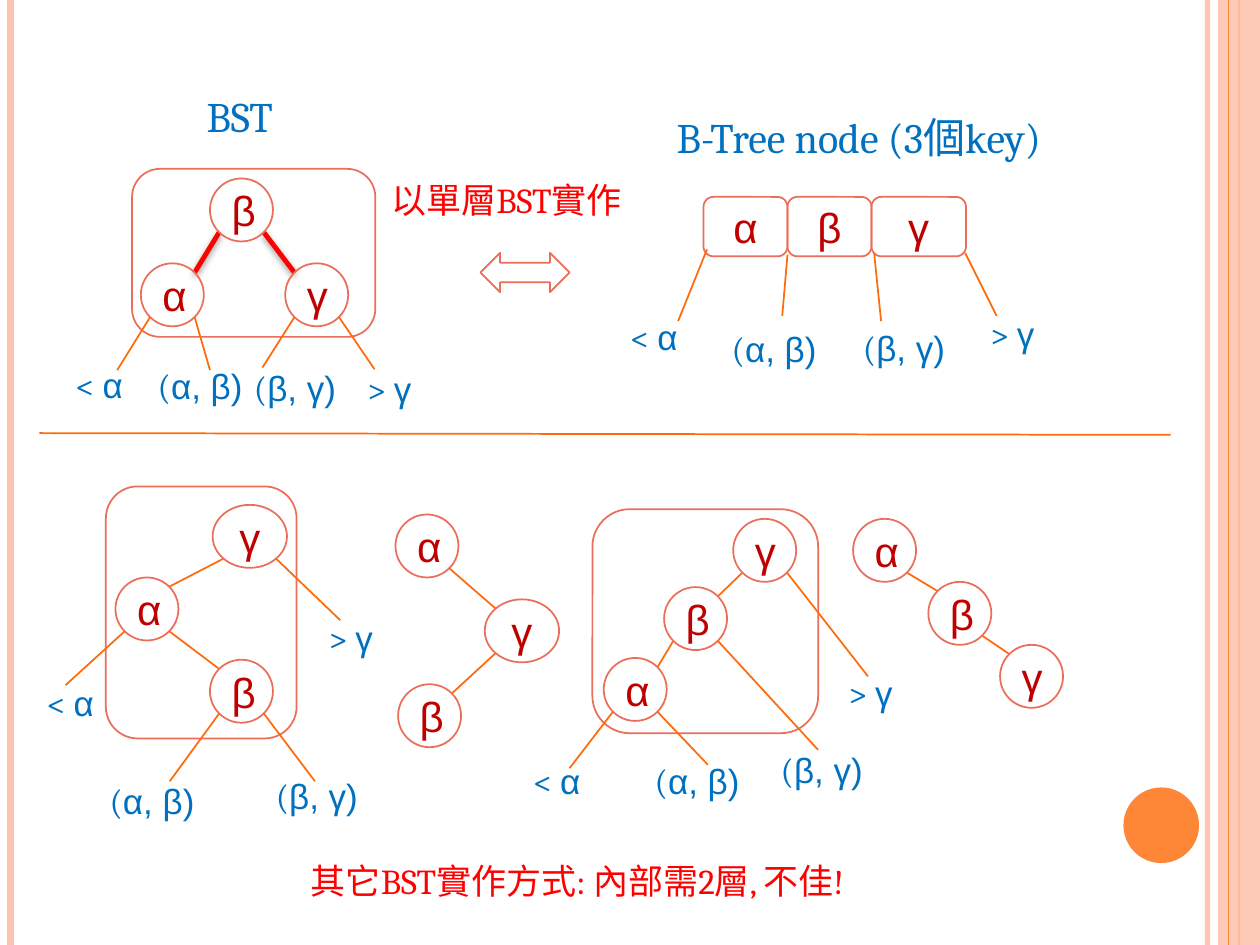
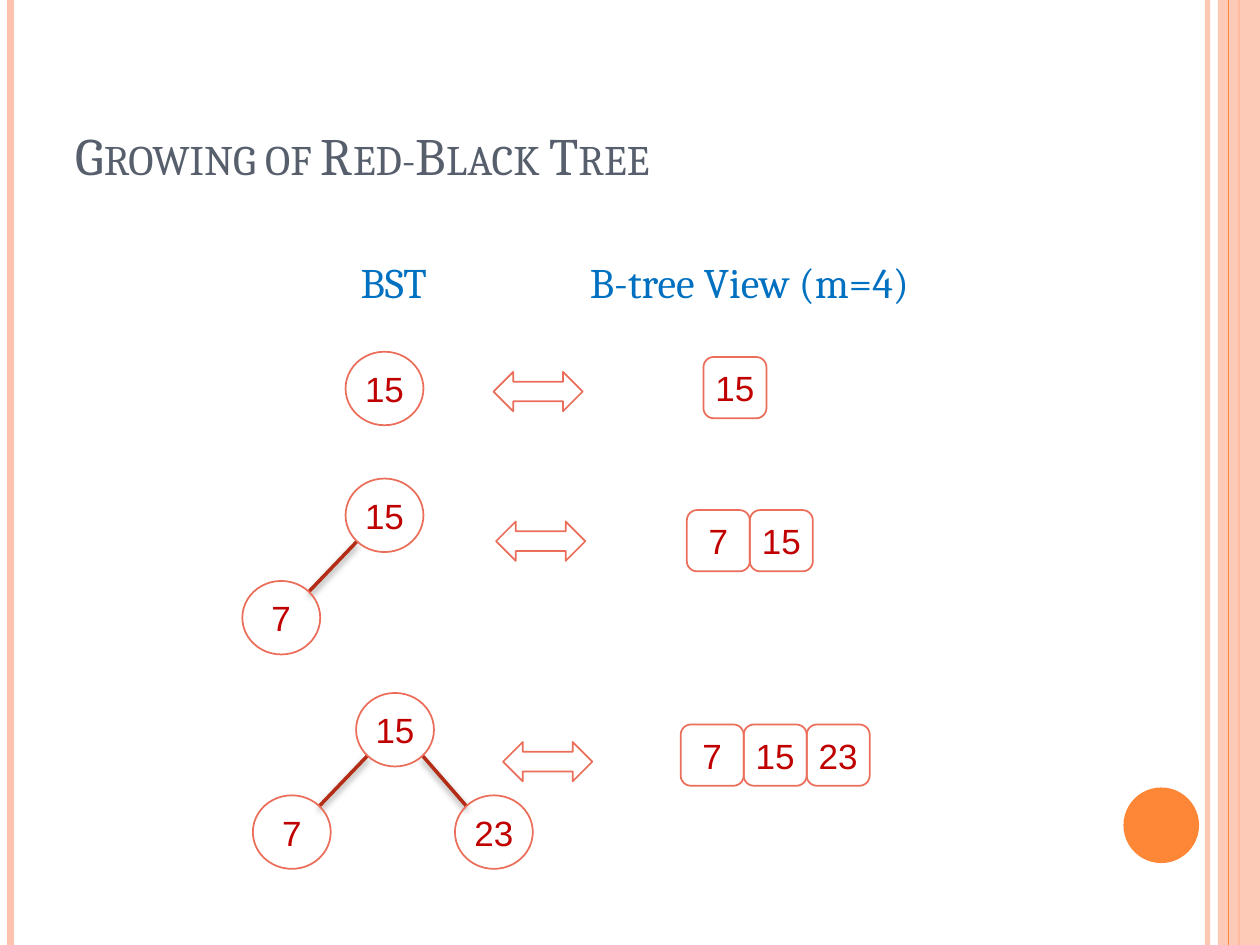
from dataclasses import dataclass
from math import copysign, sqrt
from typing import NamedTuple, Optional

from lxml.etree import SubElement
from pptx import Presentation
from pptx.dml.color import RGBColor
from pptx.enum.shapes import MSO_CONNECTOR as Connector, MSO_SHAPE as Preset
from pptx.enum.text import MSO_ANCHOR as Anchor, MSO_AUTO_SIZE as AutoSize, PP_ALIGN as Align
from pptx.oxml.ns import qn
from pptx.util import Pt

PEACH = RGBColor(0xFE, 0xC3, 0xAE)
ORANGE = RGBColor(0xFE, 0x86, 0x37)
BRANCH = RGBColor(0xFF, 0x6B, 0x0A)
CORAL = RGBColor(0xEB, 0x6E, 0x5A)
DARK_RED = RGBColor(0xC0, 0x00, 0x00)
RED = RGBColor(0xFF, 0x00, 0x00)
RUST = RGBColor(0xB3, 0x2C, 0x16)
BLUE = RGBColor(0x00, 0x70, 0xC0)
SLATE = RGBColor(0x57, 0x5F, 0x6D)
SERIF, SANS = "Cambria", "Arial"


class Point(NamedTuple):
    x: float
    y: float


class Box(NamedTuple):
    left: float
    top: float
    width: float
    height: float


class Shadow(NamedTuple):
    opacity: int
    blur: float
    distance: float


class Interval(NamedTuple):
    prefix: str
    keys: str
    width: float


class Leaf(NamedTuple):
    start: Point
    end: Point
    label: Point


@dataclass(frozen=True)
class Node:
    text: str
    left: float
    top: float
    width: float = 36
    height: float = 36

    @property
    def box(self) -> Box:
        return Box(self.left, self.top, self.width, self.height)

    def corner(self, across: float, down: float) -> Point:
        return Point(self.left + self.width / 2 * (1 + across / sqrt(2)),
                     self.top + self.height / 2 * (1 + down / sqrt(2)))

    def leaf(self, across: int, end: Point, label: Point) -> Leaf:
        return Leaf(self.corner(across, 1), end, label)


@dataclass(frozen=True)
class Tree:
    nodes: list[Node]
    edges: list[tuple[Node, Node]]
    leaves: tuple[Leaf, ...] = ()
    frame: Optional[Box] = None
    edge_color: RGBColor = BRANCH
    edge_width: float = 1
    shadow: Optional[Shadow] = None


INTERVALS = [
    Interval("< ", "α", 49),
    Interval("(", "α, β)", 70.5),
    Interval("(", "β, γ)", 70.5),
    Interval("> ", "γ", 49),
]


def write(text_frame, text: str, *, size: float, color: RGBColor, font: str = SERIF,
          align: Align = Align.LEFT, small_caps: bool = False) -> None:
    paragraph = text_frame.paragraphs[0]
    paragraph.alignment = align
    run = paragraph.add_run()
    run.text = text
    run.font.size = Pt(size)
    run.font.name = font
    run.font.color.rgb = color
    if small_caps:
        run.font._element.set("cap", "small")


def set_opacity(fill_parent, percent: int) -> None:
    color = next(fill_parent.iter(qn("a:srgbClr")))
    SubElement(color, qn("a:alpha"), val=str(percent * 1000))


def add_line(slide, start: Point, end: Point, color: RGBColor = BRANCH, width: float = 1,
             shadow: Optional[Shadow] = None, opacity: int = 100) -> None:
    line = slide.shapes.add_connector(Connector.STRAIGHT, *map(Pt, (*start, *end)))
    line.line.color.rgb = color
    line.line.width = Pt(width)
    properties = line.element.spPr
    if opacity < 100:
        set_opacity(properties, opacity)
    effects = SubElement(properties, qn("a:effectLst"))
    if shadow:
        outer = SubElement(effects, qn("a:outerShdw"), blurRad=str(Pt(shadow.blur)),
                           dist=str(Pt(shadow.distance)), dir="5400000", rotWithShape="0")
        black = SubElement(outer, qn("a:srgbClr"), val="000000")
        SubElement(black, qn("a:alpha"), val=str(shadow.opacity * 1000))


def add_filled(slide, preset: Preset, box: Box, color: RGBColor, opacity: int = 100) -> None:
    shape = slide.shapes.add_shape(preset, *map(Pt, box))
    shape.shadow.inherit = False
    shape.fill.solid()
    shape.fill.fore_color.rgb = color
    shape.line.fill.background()
    if opacity < 100:
        set_opacity(shape.element.spPr, opacity)


def add_outline(slide, preset: Preset, box: Box, text: str = "", size: float = 24,
                inset: float = 7.2) -> None:
    shape = slide.shapes.add_shape(preset, *map(Pt, box))
    shape.shadow.inherit = False
    shape.fill.background()
    shape.line.color.rgb = CORAL
    shape.line.width = Pt(1)
    if text:
        frame = shape.text_frame
        frame.margin_left = frame.margin_right = Pt(inset)
        frame.vertical_anchor = Anchor.MIDDLE
        write(frame, text, size=size, color=DARK_RED, font=SANS, align=Align.CENTER)


def add_text_frame(slide, box: Box):
    frame = slide.shapes.add_textbox(*map(Pt, box)).text_frame
    frame.word_wrap = True
    frame.auto_size = AutoSize.SHAPE_TO_FIT_TEXT
    return frame


def add_leaves(slide, leaves: tuple[Leaf, ...]) -> None:
    for leaf, interval in zip(leaves, INTERVALS):
        add_line(slide, leaf.start, leaf.end)
        frame = add_text_frame(slide, Box(*leaf.label, interval.width, 31.5))
        write(frame, interval.prefix, size=20, color=BLUE)
        write(frame, interval.keys, size=20, color=BLUE, font=SANS)


def add_tree(slide, tree: Tree, size: float = 24, inset: float = 7.2) -> None:
    for parent, child in tree.edges:
        side = copysign(1, child.left - parent.left)
        add_line(slide, parent.corner(side, 1), child.corner(-side, -1),
                 tree.edge_color, tree.edge_width, tree.shadow)
    for node in tree.nodes:
        add_outline(slide, Preset.OVAL, node.box, node.text, size, inset)
    if tree.frame:
        add_outline(slide, Preset.ROUNDED_RECTANGLE, tree.frame)
    add_leaves(slide, tree.leaves)


def add_double_arrow(slide, left: float, top: float) -> None:
    add_outline(slide, Preset.LEFT_RIGHT_ARROW, Box(left, top, 51, 22.5))


def decorate_master(slide, master) -> None:
    def add_band(x: float, color: RGBColor, width: float, opacity: int = 100) -> None:
        add_line(slide, Point(x, 0), Point(x, 540), color, width, opacity=opacity)

    add_band(690, PEACH, 3, 93)
    add_band(6, PEACH, 4.5)
    add_band(708, ORANGE, 1.5)
    add_filled(slide, Preset.RECTANGLE, Box(696, 0, 24, 540), PEACH, 87)
    add_band(702, ORANGE, 0.75)
    add_filled(slide, Preset.OVAL, Box(642, 450, 43.2, 43.2), ORANGE)
    for shape in list(slide.shapes):
        master.shapes.element.append(shape.element)


def single_level_tree() -> Tree:
    alpha, beta, gamma = Node("α", 80.5, 150.5), Node("β", 120, 102), Node("γ", 163, 150.5)
    leaves = (
        alpha.leaf(-1, Point(67, 211.5), Point(36, 204)),
        alpha.leaf(1, Point(120, 211.5), Point(83, 205)),
        gamma.leaf(-1, Point(150, 210), Point(138, 206)),
        gamma.leaf(1, Point(214, 211), Point(202.5, 206.5)),
    )
    return Tree([alpha, beta, gamma], [(beta, alpha), (beta, gamma)], leaves,
                Box(75.5, 96.5, 139, 96), RED, 2.75, Shadow(42, 4, 1.6))


def left_zigzag_tree() -> Tree:
    alpha, beta = Node("α", 66, 330), Node("β", 120, 377)
    gamma = Node("γ", 121.5, 288.5, 42.5)
    leaves = (
        alpha.leaf(-1, Point(37.5, 391.5), Point(19.5, 386)),
        beta.leaf(-1, Point(97, 446.5), Point(55.5, 442)),
        beta.leaf(1, Point(180, 446.5), Point(138.5, 439)),
        gamma.leaf(1, Point(194.5, 354.5), Point(180.5, 348.5)),
    )
    leaves = (*leaves[:2], leaves[2]._replace(label=Point(150.5, 439)), leaves[3])
    return Tree([alpha, beta, gamma], [(gamma, alpha), (alpha, beta)], leaves,
                Box(60.5, 278, 109, 144))


def right_zigzag_tree() -> Tree:
    alpha, beta = Node("α", 226, 294), Node("β", 227.5, 391)
    gamma = Node("γ", 277, 342.5, 42.5)
    return Tree([alpha, beta, gamma], [(alpha, gamma), (gamma, beta)])


def left_chain_tree() -> Tree:
    alpha, beta, gamma = Node("α", 345, 376), Node("β", 379.5, 335.5), Node("γ", 419, 296.5)
    leaves = (
        alpha.leaf(-1, Point(325.5, 439), Point(297.5, 430.5)),
        alpha.leaf(1, Point(404.5, 437), Point(367, 430.5)),
        beta.leaf(1, Point(467.5, 428.5), Point(439, 424)),
        gamma.leaf(1, Point(496, 386.5), Point(477.5, 380)),
    )
    return Tree([alpha, beta, gamma], [(gamma, beta), (beta, alpha)], leaves,
                Box(338.5, 291, 129, 128))


def right_chain_tree() -> Tree:
    alpha, beta, gamma = Node("α", 487.5, 296.5), Node("β", 530.5, 332.5), Node("γ", 571.5, 368.5)
    return Tree([alpha, beta, gamma], [(alpha, beta), (beta, gamma)])


def build_comparison(slide) -> None:
    for text, box, size, color in [
        ("BST", Box(111, 48, 80.5, 36), 24, BLUE),
        ("B-Tree node (3個key)", Box(379.5, 60, 250.5, 36), 24, BLUE),
        ("以單層BST實作", Box(216.5, 98.5, 155.5, 31.5), 20, RED),
        ("其它BST實作方式: 內部需2層, 不佳!", Box(170.5, 487.5, 335.5, 31.5), 20, RED),
    ]:
        write(add_text_frame(slide, box), text, size=size, color=color)
    for index, (key, width) in enumerate([("α", 48), ("β", 48), ("γ", 54)]):
        add_outline(slide, Preset.ROUNDED_RECTANGLE, Box(402 + 48 * index, 112.5, width, 34), key)
    add_leaves(slide, (
        Leaf(Point(404, 142.5), Point(387.5, 183.5), Point(353, 177)),
        Leaf(Point(450, 145.5), Point(447, 180.5), Point(411, 183.5)),
        Leaf(Point(499.5, 144.5), Point(503.5, 183.5), Point(486, 183)),
        Leaf(Point(551.5, 144.5), Point(569.5, 180.5), Point(558.5, 175)),
    ))
    add_double_arrow(slide, 274.5, 144.5)
    add_line(slide, Point(22.5, 247.5), Point(669, 248.5))
    for tree in (single_level_tree(), left_zigzag_tree(), right_zigzag_tree(),
                 left_chain_tree(), right_chain_tree()):
        add_tree(slide, tree)


def build_growth(slide) -> None:
    title = slide.shapes.title
    title.left, title.top, title.width, title.height = map(Pt, (36, 21.5, 588, 88.5))
    title.text_frame.vertical_anchor = Anchor.BOTTOM
    write(title.text_frame, "Growing of Red-Black Tree", size=30, color=SLATE, small_caps=True)
    for text, left, width in [("BST", 190, 70), ("B-tree View (m=4)", 294, 268.5)]:
        write(add_text_frame(slide, Box(left, 143, width, 36)), text,
              size=24, color=BLUE, align=Align.CENTER)
    for keys, root, cells, arrow in [
        (["15"], Point(197.5, 201), Point(402, 204), Point(282, 212.5)),
        (["7", "15"], Point(197.5, 273.5), Point(392.5, 291.5), Point(283.5, 298)),
        (["7", "15", "23"], Point(203.5, 396), Point(389, 414), Point(287.5, 424)),
    ]:
        offsets = {"15": Point(0, 0), "7": Point(-59, 58.5), "23": Point(56.5, 58.5)}
        nodes = {key: Node(key, root.x + offsets[key].x, root.y + offsets[key].y, 44.5, 42)
                 for key in keys}
        edges = [(nodes["15"], node) for key, node in nodes.items() if key != "15"]
        add_tree(slide, Tree(list(nodes.values()), edges, edge_color=RUST, edge_width=2,
                             shadow=Shadow(40, 4, 2)), size=20, inset=3)
        for index, key in enumerate(keys):
            add_outline(slide, Preset.ROUNDED_RECTANGLE,
                        Box(cells.x + 36 * index, cells.y, 36, 35), key, 20, 3)
        add_double_arrow(slide, *arrow)


presentation = Presentation()
presentation.slide_width, presentation.slide_height = Pt(720), Pt(540)
title_only, blank = presentation.slide_layouts[5], presentation.slide_layouts[6]
comparison = presentation.slides.add_slide(blank)
decorate_master(comparison, presentation.slide_master)
build_comparison(comparison)
build_growth(presentation.slides.add_slide(title_only))
presentation.save("out.pptx")
